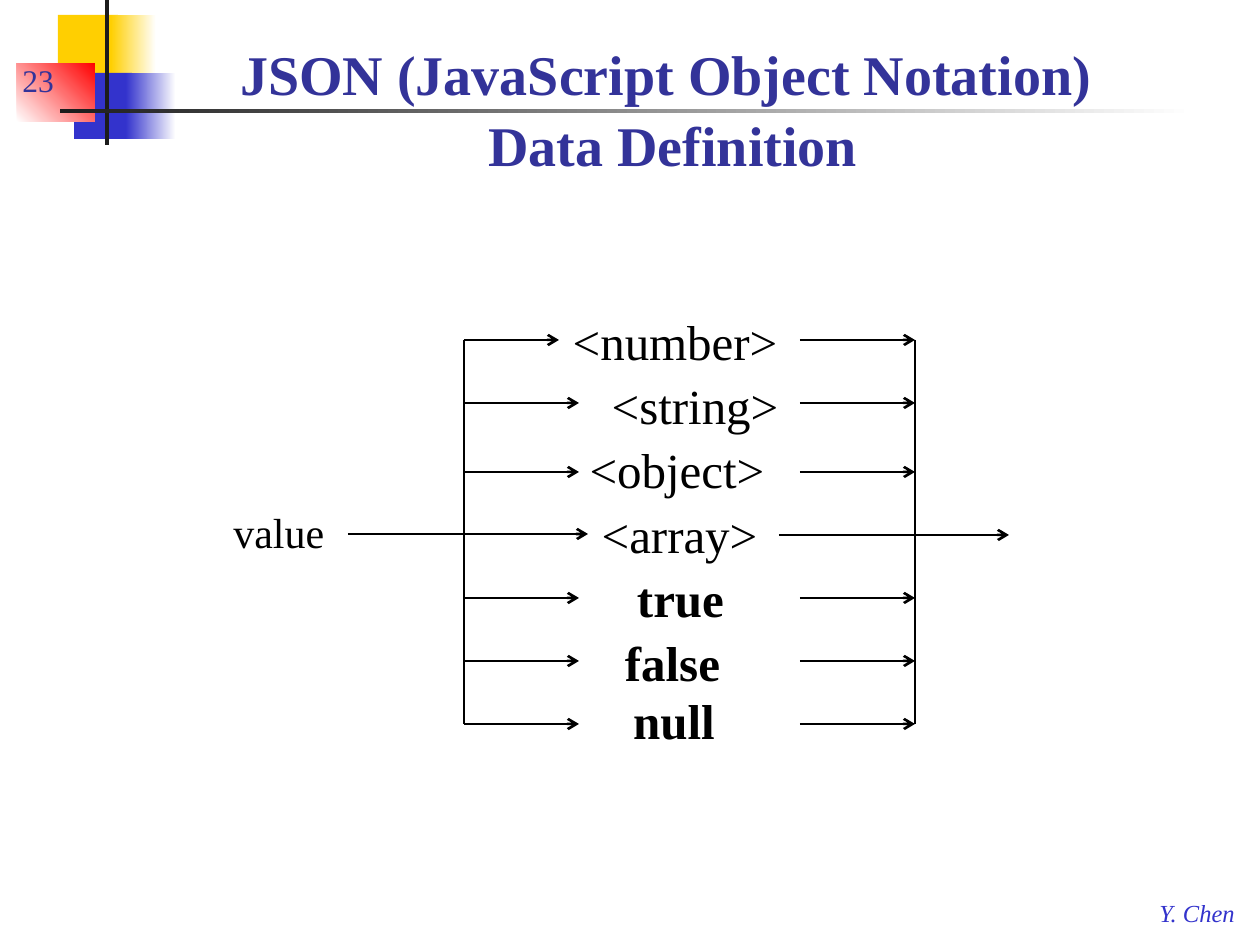
import pptx
import pptx.dml.color
import pptx.enum.shapes
import pptx.enum.text
import pptx.util
from lxml import etree

PX = 914400 / 126
FONT = "Times New Roman"
NS = "{http://schemas.openxmlformats.org/drawingml/2006/main}"
ALIGN = pptx.enum.text.PP_ALIGN
ANCHOR = pptx.enum.text.MSO_ANCHOR
AUTO = pptx.enum.text.MSO_AUTO_SIZE


def px(*values):
    return [pptx.util.Emu(round(v * PX)) for v in values]


def rgb(value):
    return pptx.dml.color.RGBColor.from_string(value)


prs = pptx.Presentation()
prs.slide_width, prs.slide_height = px(1260, 945)
s = prs.slides.add_slide(prs.slide_layouts[5])

# Corner ornament: box, colour stops, gradient angle
ornament = [
    ((58, 15, 60, 66), ["FFCF01"], 0),
    ((111, 15, 45, 66), ["FFCF01", "FFFFFF"], 0),
    ((74, 73, 58, 66), ["3333CC"], 0),
    ((126, 73, 50, 66), ["3333CC", "FFFFFF"], 0),
    ((17, 63, 78, 59), ["FFFFFF", "FF0000"], 45),
    ((105, 0, 4, 145), ["1C1C1C"], 0),
    ((60, 109, 1134, 4), ["1C1C1C", "FFFFFF"], 0),
]
for box, colors, angle in ornament:
    sp = s.shapes.add_shape(pptx.enum.shapes.MSO_SHAPE.RECTANGLE, *px(*box))
    sp.shadow.inherit = False
    sp.line.fill.background()
    if len(colors) == 1:
        sp.fill.solid()
        sp.fill.fore_color.rgb = rgb(colors[0])
    else:
        sp.fill.gradient()
        sp.fill.gradient_angle = angle
        for position, (stop, color) in enumerate(zip(sp.fill.gradient_stops, colors)):
            stop.color.rgb = rgb(color)
            stop.position = position

# Title, in front of the ornament
title = s.shapes.title
s.shapes.element.append(title.element)
title.left, title.top, title.width, title.height = px(174, 32, 998, 152)
tf = title.text_frame
tf.text = "JSON (JavaScript Object Notation) \vData Definition"
tf.word_wrap = True
tf.auto_size = AUTO.NONE
tf.vertical_anchor = ANCHOR.BOTTOM
p = tf.paragraphs[0]
p.alignment = ALIGN.CENTER
p.line_spacing = 1.05
for r in p.runs:
    r.font.name = FONT
    r.font.size = pptx.util.Pt(32)
    r.font.bold = True
    r.font.color.rgb = rgb("333399")

# Labels: text, box, size, colour, bold, italic, alignment
labels = [
    ("Y. Chen", (1147, 892, 103, 42), 14, "3333CC", False, True, ALIGN.LEFT),
    ("23", (10, 42, 95, 63), 18, "333399", False, False, ALIGN.LEFT),
    ("value", (221, 500, 127, 63), 24, "000000", False, False, ALIGN.LEFT),
]
alternatives = [
    ("<number>", 559, 305, 232),
    ("<string>", 598, 369, 194),
    ("<object>", 576, 433, 202),
    ("<array>", 588, 498, 183),
    ("true", 624, 562, 113),
    ("false", 612, 626, 121),
    ("null", 620, 684, 108),
]
for text, x, y, w in alternatives:
    bold = not text.startswith("<")
    labels.append((text, (x, y, w, 72), 28, "000000", bold, False, ALIGN.CENTER))

for text, box, size, color, bold, italic, align in labels:
    sp = s.shapes.add_textbox(*px(*box))
    tf = sp.text_frame
    tf.text = text
    tf.word_wrap = False
    if text == "23":
        tf.word_wrap = True
        tf.vertical_anchor = ANCHOR.BOTTOM
    p = tf.paragraphs[0]
    p.alignment = align
    font = p.runs[0].font
    font.name = FONT
    font.size = pptx.util.Pt(size)
    font.bold = bold
    font.italic = italic
    font.color.rgb = rgb(color)

# Syntax diagram: x1, y1, x2, y2, arrowhead
LEFT, RIGHT = 464, 915
branches = [340, 403, 472, 598, 661, 724]
lines = [(348, 534, 588, 534, True), (779, 535, 1009, 535, True)]
for y in branches:
    lines.append((LEFT, y, 559 if y == branches[0] else 579, y, True))
    lines.append((800, y, RIGHT, y, True))
for x in (LEFT, RIGHT):
    lines.append((x, branches[0], x, branches[-1], False))

for x1, y1, x2, y2, arrow in lines:
    line = s.shapes.add_connector(
        pptx.enum.shapes.MSO_CONNECTOR.STRAIGHT, *px(x1, y1, x2, y2))
    line.line.width = pptx.util.Pt(1.5)
    line.line.color.rgb = rgb("000000")
    if arrow:
        etree.SubElement(line.line._get_or_add_ln(), NS + "tailEnd", type="arrow")
    etree.SubElement(line.element.spPr, NS + "effectLst")

prs.save("out.pptx")
